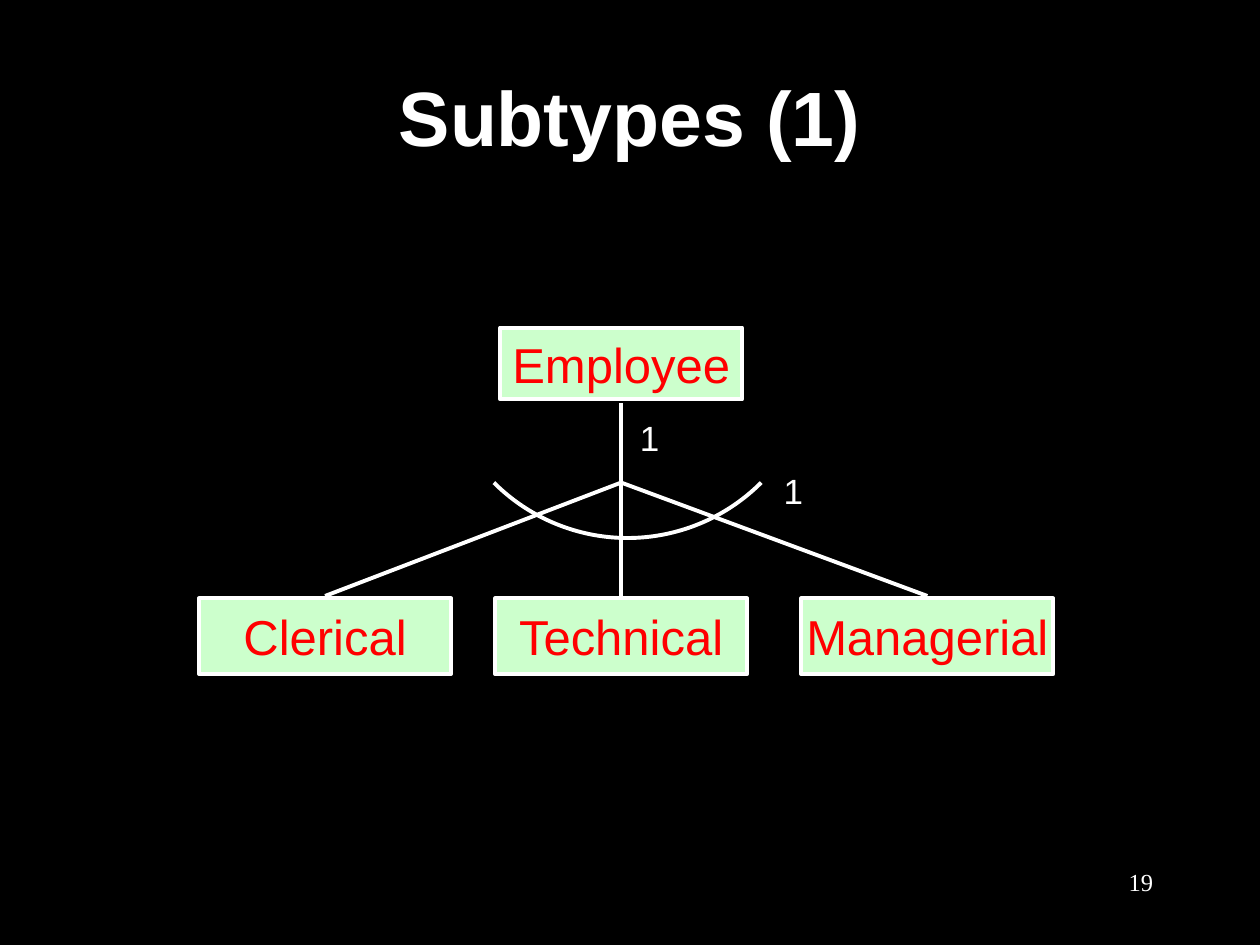
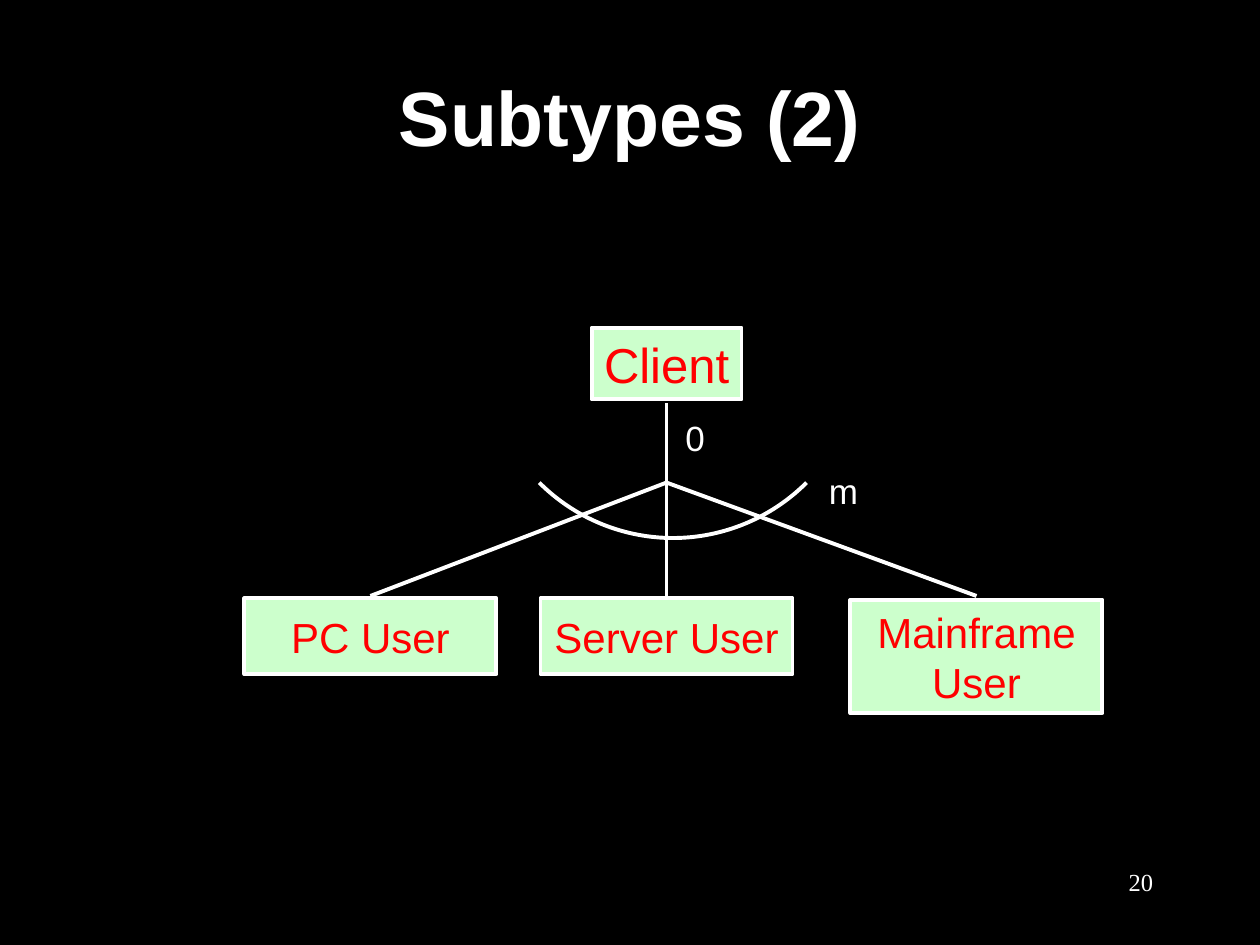
from lxml.etree import SubElement
from pptx import Presentation
from pptx.dml.color import RGBColor
from pptx.enum.shapes import MSO_CONNECTOR, MSO_SHAPE
from pptx.enum.text import MSO_ANCHOR, PP_ALIGN
from pptx.oxml.ns import qn
from pptx.util import Inches, Pt

BLACK, WHITE, RED, MINT = "000000", "FFFFFF", "FF0000", "CCFFCC"
TOP_Y, HUB_Y, JOIN_Y, SUB_Y = 3.2, 3.83, 4.73, 4.75
SUB_W = 2
ARC_D = 3


def color(code):
    return RGBColor.from_string(code)


def place(shape, left, top, width, height):
    box = {"left": left, "top": top, "width": width, "height": height}
    for name, value in box.items():
        setattr(shape, name, Inches(value))


def write(shape, text, size, ink, font="Arial", bold=False, wrap=False,
          align=PP_ALIGN.CENTER, anchor=MSO_ANCHOR.MIDDLE):
    frame = shape.text_frame
    frame.text = text
    frame.word_wrap = wrap
    frame.vertical_anchor = anchor
    para = frame.paragraphs[0]
    para.alignment = align
    style = {"name": font, "size": Pt(size), "bold": bold}
    for name, value in style.items():
        setattr(para.runs[0].font, name, value)
    para.runs[0].font.color.rgb = color(ink)
    return para


def stroke(shape):
    shape.line.color.rgb = color(WHITE)
    shape.line.width = Pt(2.25)


def add_title(slide, text):
    title = slide.shapes.title
    place(title, 0.75, 0.42, 8.5, 1)
    para = write(title, text, 44, WHITE, bold=True, wrap=True)
    para.space_before, para.space_after = Pt(6), Pt(3)


def add_text(slide, text, left, top, width, height, size, **style):
    box = slide.shapes.add_textbox(*map(Inches, (left, top, width, height)))
    write(box, text, size, WHITE, **style)


def add_type(slide, text, mid, top, width, height, size, wrap=False):
    """Draw an entity box centred on mid."""
    area = map(Inches, (mid - width / 2, top, width, height))
    box = slide.shapes.add_shape(MSO_SHAPE.FLOWCHART_PROCESS, *area)
    box.shadow.inherit = False
    box.fill.solid()
    box.fill.fore_color.rgb = color(MINT)
    stroke(box)
    write(box, text, size, RED, wrap=wrap)


def add_line(slide, *ends):
    line = slide.shapes.add_connector(MSO_CONNECTOR.STRAIGHT, *map(Inches, ends))
    stroke(line)
    SubElement(line._element.spPr, qn("a:effectLst"))


def add_arc(slide, hub):
    """Draw the arc that crosses all subtype lines below the hub."""
    area = map(Inches, (hub - 1.45, 1.27, ARC_D, ARC_D))
    arc = slide.shapes.add_shape(MSO_SHAPE.ARC, *area)
    arc.rotation = 135
    arc.shadow.inherit = False
    arc.fill.background()
    stroke(arc)


def add_tree(slide, hub, parent, width, subs, size, marks):
    """Draw a parent type, its subtypes as (text, offset, top, height), and marks."""
    add_type(slide, parent, hub, 2.6, width, 0.57, 28)
    add_line(slide, hub, TOP_Y, hub, HUB_Y)
    for text, shift, top, height in subs:
        mid = hub + shift
        add_type(slide, text, mid, top, SUB_W, height, size, wrap=height > 0.6)
        add_line(slide, mid, JOIN_Y, hub, HUB_Y)
    add_arc(slide, hub)
    low, high, high_w = marks
    add_text(slide, low, hub + 0.05, 3.25, 0.35, 0.44, 20)
    add_text(slide, high, hub + 1.19, 3.67, high_w, 0.44, 20)


def add_slide(deck, title, number):
    slide = deck.slides.add_slide(deck.slide_layouts[5])
    add_title(slide, title)
    add_text(slide, number, 7.17, 6.83, 2.08, 0.5, 14, font="Times New Roman",
             wrap=True, align=PP_ALIGN.RIGHT, anchor=MSO_ANCHOR.TOP)
    return slide


def main():
    deck = Presentation()
    deck.slide_width, deck.slide_height = Inches(10), Inches(7.5)
    back = deck.slide_master.background.fill
    back.solid()
    back.fore_color.rgb = color(BLACK)

    staff = [("Clerical", -2.35, SUB_Y, 0.6),
             ("Technical", 0, SUB_Y, 0.6),
             ("Managerial", 2.43, SUB_Y, 0.6)]
    slide = add_slide(deck, "Subtypes (1)", "19")
    add_tree(slide, 4.93, "Employee", 1.92, staff, 28, ("1", "1", 0.35))

    users = [("PC User", -2.35, SUB_Y, 0.6),
             ("Server User", 0, SUB_Y, 0.6),
             ("Mainframe User", 2.46, 4.76, 0.9)]
    slide = add_slide(deck, "Subtypes (2)", "20")
    add_tree(slide, 5.29, "Client", 1.19, users, 24, ("0", "m", 0.43))

    deck.save("out.pptx")


if __name__ == "__main__":
    main()
